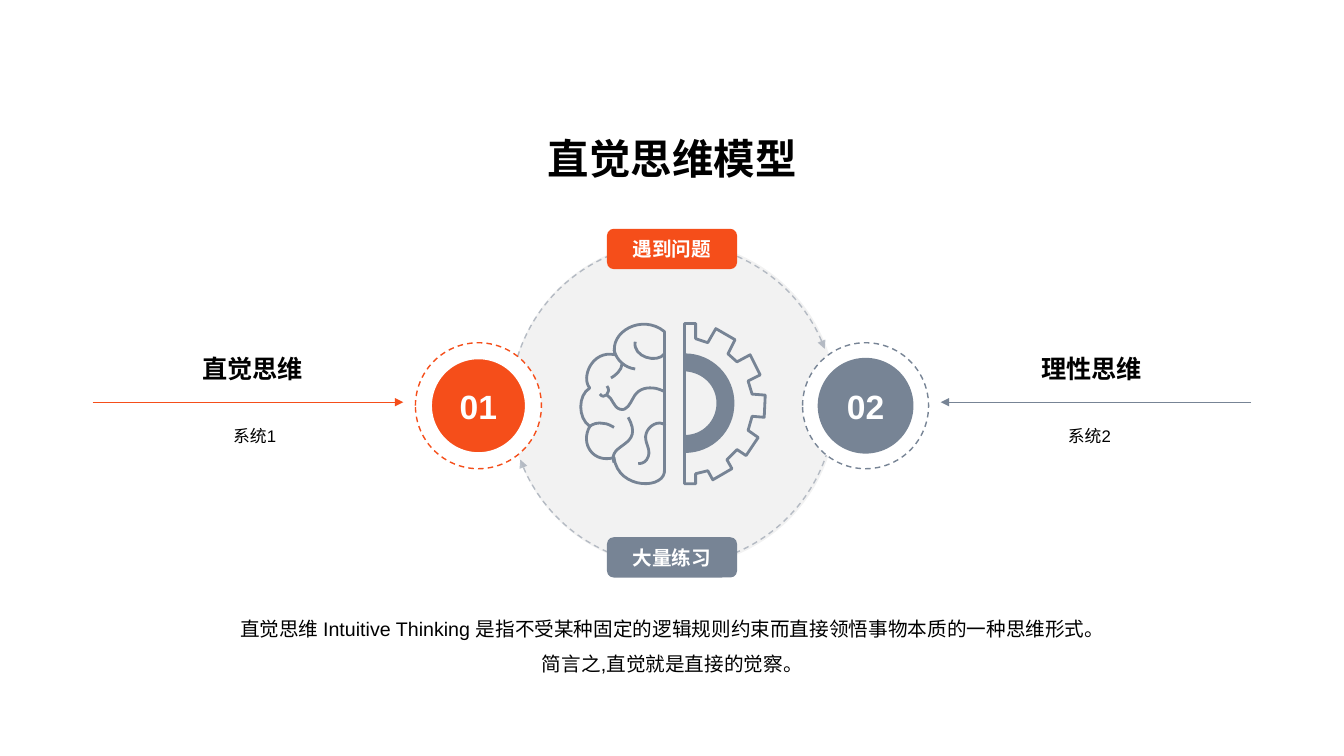
import pptx
import pptx.util
import pptx.dml.color
import pptx.enum.dml
import pptx.enum.shapes
import pptx.enum.text
import pptx.oxml
import pptx.oxml.ns

Inches = pptx.util.Inches
RGBColor = pptx.dml.color.RGBColor
SHAPE = pptx.enum.shapes.MSO_SHAPE
ANCHOR = pptx.enum.text.MSO_ANCHOR
DASH = pptx.enum.dml.MSO_LINE.DASH
qn = pptx.oxml.ns.qn
A_NS = pptx.oxml.ns.nsdecls("a")

ORANGE = RGBColor(0xF5, 0x4E, 0x1A)
SLATE = RGBColor(0x77, 0x84, 0x95)
GREY = RGBColor(0x80, 0x80, 0x80)
WHITE = RGBColor(0xFF, 0xFF, 0xFF)
BLACK = RGBColor(0, 0, 0)


def style(shape, fill=None, line=None, width=1, dash=None):
    """Give a shape its fill and outline, and no shadow."""
    shape.shadow.inherit = False
    if fill is None:
        shape.fill.background()
    else:
        shape.fill.solid()
        shape.fill.fore_color.rgb = fill
    if line is None:
        shape.line.fill.background()
    else:
        shape.line.color.rgb = line
        shape.line.width = pptx.util.Pt(width)
        shape.line.dash_style = dash


def write(shape, lines, size, color=BLACK, bold=True, spacing=1.0,
          anchor=ANCHOR.MIDDLE, inset=(0.12, 0.12), wrap=False):
    """Fill a shape with centred paragraphs."""
    frame = shape.text_frame
    side, top = (Inches(value) for value in inset)
    frame_format = {"word_wrap": wrap, "vertical_anchor": anchor,
                    "margin_left": side, "margin_right": side,
                    "margin_top": top, "margin_bottom": top}
    for name, value in frame_format.items():
        setattr(frame, name, value)
    frame.text = "\n".join(lines)
    font_format = {"name": "Arial", "size": pptx.util.Pt(size), "bold": bold}
    for paragraph in frame.paragraphs:
        paragraph.alignment = pptx.enum.text.PP_ALIGN.CENTER
        paragraph.line_spacing = spacing
        font = paragraph.runs[0].font
        for name, value in font_format.items():
            setattr(font, name, value)
        font.color.rgb = color


deck = pptx.Presentation()
deck.slide_width, deck.slide_height = Inches(13.33), Inches(7.5)
slide = deck.slides.add_slide(deck.slide_layouts[6])
shapes = slide.shapes

# Pale disc and the two arrows that circle it
disc = shapes.add_shape(SHAPE.OVAL, *map(Inches, (5.06, 2.39, 3.24, 3.24)))
style(disc, GREY)
tints = [(disc, 10)]
for top, turn in ((2.41, 0), (2.39, 180)):
    cycle = shapes.add_shape(SHAPE.ARC, *map(Inches, (5.06, top, 3.22, 3.22)))
    cycle.adjustments[0], cycle.adjustments[1] = 118.444, 203.793
    cycle.rotation = turn
    style(cycle, line=SLATE, dash=DASH.DASH)
    cycle.line._get_or_add_ln().append(
        pptx.oxml.parse_xml(f'<a:tailEnd {A_NS} type="triangle"/>'))
    tints.append((cycle, 50))
for tinted, percent in tints:
    color = next(tinted.element.spPr.iter(qn("a:srgbClr")))
    color.append(pptx.oxml.parse_xml(f'<a:alpha {A_NS} val="{percent * 1000}"/>'))

# Half brain, half gear: a start point, then three points per curve
brain_outline = [
    (6.59, 4.65), (6.62, 4.86), (6.13, 4.87), (6.09, 4.54),
    (5.89, 4.6), (5.75, 4.41), (5.85, 4.23), (5.73, 4.15), (5.73, 3.92), (5.85, 3.85),
    (5.76, 3.75), (5.87, 3.47), (6.1, 3.52), (6.04, 3.29), (6.37, 3.11), (6.59, 3.29)]
brain_folds = [
    [(6.09, 3.47), (6.11, 3.57), (6.2, 3.65), (6.3, 3.66)],
    [(6.3, 3.39), (6.27, 3.54), (6.52, 3.61), (6.59, 3.51)],
    [(6.17, 3.61), (6.17, 3.67), (6.1, 3.73), (6.06, 3.75)],
    [(6.02, 3.92), (6.08, 3.95), (6.08, 4.04), (6.15, 4.06), (6.22, 4.08), (6.25, 4),
     (6.28, 3.95), (6.32, 3.87), (6.39, 3.84), (6.48, 3.85), (6.51, 3.85), (6.56, 3.87),
     (6.58, 3.88)],
    [(5.95, 3.91), (5.99, 3.97), (6.07, 3.89), (6.02, 3.83)],
    [(6.6, 4.22), (6.53, 4.16), (6.43, 4.23), (6.41, 4.3), (6.38, 4.38), (6.46, 4.45),
     (6.43, 4.53), (6.41, 4.58), (6.38, 4.6), (6.33, 4.6)],
    [(6.09, 4.59), (6.02, 4.39), (6.4, 4.44), (6.23, 4.14)],
    [(5.84, 4.24), (5.87, 4.2), (5.94, 4.19), (5.98, 4.2), (6.03, 4.2), (6.07, 4.23),
     (6.09, 4.24)]]
gear_teeth = [
    (7.58, 4.14), (7.59, 3.92), (7.46, 3.91), (7.42, 3.78), (7.54, 3.72), (7.44, 3.52),
    (7.31, 3.59), (7.22, 3.51), (7.29, 3.37), (7.1, 3.26), (7.02, 3.4), (6.9, 3.36),
    (6.9, 3.21), (6.79, 3.21), (6.79, 4.8), (6.9, 4.8), (6.9, 4.7), (7.02, 4.67),
    (7.07, 4.76), (7.26, 4.65), (7.21, 4.56), (7.31, 4.46), (7.4, 4.52), (7.52, 4.34),
    (7.42, 4.27), (7.46, 4.13)]
gear_ring = [
    (6.79, 3.52), *[(6.79, 3.67)] * 3, (6.98, 3.68), (7.12, 3.82), (7.12, 4),
    (7.12, 4.18), (6.98, 4.33), (6.79, 4.33), *[(6.79, 4.48)] * 3,
    (7.06, 4.48), (7.27, 4.27), (7.27, 4), (7.27, 3.74), (7.06, 3.52), (6.79, 3.52)]

icon_parts = [(brain_outline, True, True, None)]
icon_parts += [(fold, True, False, None) for fold in brain_folds]
icon_parts += [(gear_teeth, False, True, None), (gear_ring, True, True, SLATE)]
for points, curved, closed, fill in icon_parts:
    start, *rest = [(Inches(x), Inches(y)) for x, y in points]
    builder = shapes.build_freeform(*start)
    builder.add_line_segments(rest, close=closed)
    part = builder.convert_to_shape()
    style(part, fill, SLATE, 2)
    if curved:
        steps = list(part.element.iter(qn("a:lnTo")))
        for first, second, third in zip(steps[::3], steps[1::3], steps[2::3]):
            curve = pptx.oxml.parse_xml(f"<a:cubicBezTo {A_NS}/>")
            first.addprevious(curve)
            for step in (first, second, third):
                curve.append(step[0])
                step.getparent().remove(step)

# Tags on the top and bottom of the disc
for label, top, color in (("遇到问题", 2.27, ORANGE), ("大量练习", 5.33, SLATE)):
    tag = shapes.add_shape(SHAPE.ROUNDED_RECTANGLE, *map(Inches, (6.02, top, 1.29, 0.4)))
    style(tag, color)
    write(tag, [label], 14, WHITE)

# The two systems, left and right
systems = [
    ("01", "直觉思维", "系统1", ORANGE, WHITE, 4.12, 1.05, 1.07, 0.92, 4),
    ("02", "理性思维", "系统2", SLATE, None, 7.96, 9.37, 9.35, 12.41, 9.33)]
for number, name, system, color, rim, left, name_left, system_left, tail, tip in systems:
    halo = shapes.add_shape(SHAPE.OVAL, *map(Inches, (left, 3.4, 1.25, 1.25)))
    style(halo, WHITE, color, dash=DASH.DASH)
    badge = shapes.add_shape(SHAPE.OVAL, *map(Inches, (left + 0.15, 3.55, 0.95, 0.95)))
    style(badge, color, rim, 2)
    write(badge, [number], 24, WHITE)

    heading = shapes.add_textbox(*map(Inches, (name_left, 3.26, 2.91, 0.59)))
    write(heading, [name], 18, anchor=ANCHOR.BOTTOM, inset=(0.1, 0.05), wrap=True)
    caption = shapes.add_textbox(*map(Inches, (system_left, 4.13, 2.91, 1.01)))
    write(caption, [system], 12, bold=False, spacing=1.2, anchor=ANCHOR.TOP,
          inset=(0.1, 0.05), wrap=True)

    arrow = shapes.add_connector(pptx.enum.shapes.MSO_CONNECTOR.STRAIGHT,
                                 *map(Inches, (tail, 3.99, tip, 3.99)))
    arrow.line.color.rgb = color
    arrow.line.width = pptx.util.Pt(0.5)
    arrow.line._get_or_add_ln().append(
        pptx.oxml.parse_xml(f'<a:tailEnd {A_NS} type="triangle"/>'))
    arrow.element.spPr.append(pptx.oxml.parse_xml(f"<a:effectLst {A_NS}/>"))

# Title and explanation
title = shapes.add_textbox(*map(Inches, (0.73, 1.24, 11.88, 0.57)))
write(title, ["直觉思维模型"], 29.6, anchor=ANCHOR.BOTTOM, inset=(0, 0), wrap=True)
explanation = shapes.add_textbox(*map(Inches, (0.73, 6, 11.88, 0.76)))
write(explanation,
      ["直觉思维 Intuitive Thinking 是指不受某种固定的逻辑规则约束而直接领悟事物本质的一种思维形式。",
       "简言之,直觉就是直接的觉察。"],
      14, bold=False, spacing=1.5, anchor=ANCHOR.TOP, inset=(0, 0), wrap=True)

deck.save("out.pptx")
